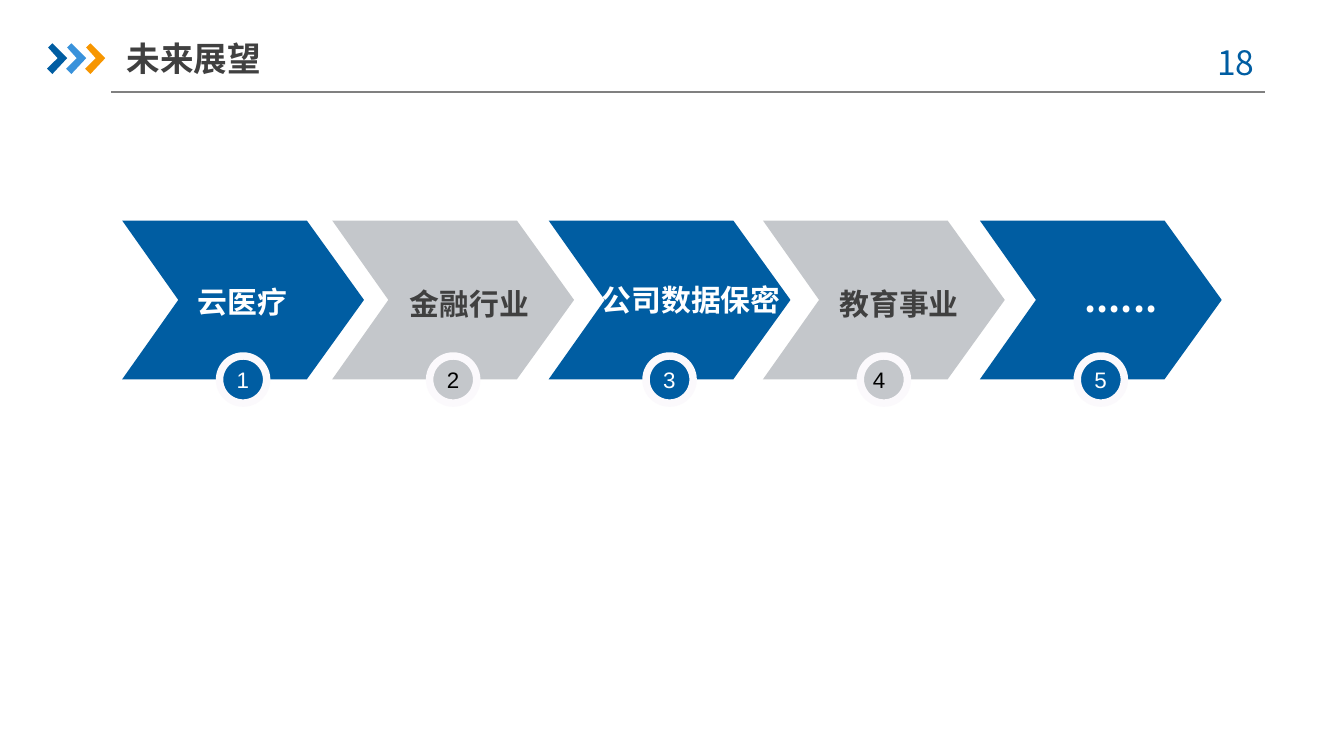
from pptx import Presentation
from pptx.dml.color import RGBColor
from pptx.enum.shapes import MSO_CONNECTOR as Connector, MSO_SHAPE as Shape
from pptx.enum.text import MSO_ANCHOR as Anchor, PP_ALIGN as Align
from pptx.oxml.ns import qn
from pptx.util import Cm, Pt
from lxml import etree

# Content
TITLE = "未来展望"
PAGE_NUMBER = "18 "
# label, size, arrow left, label left, label width, label middle, number nudge
STEPS = [
    ("云医疗", 16, 2.31, 3.73, 1.70, 5.70, 0),
    ("金融行业", 16, 6.28, 7.39, 2.97, 5.74, 0),
    ("公司数据保密", 16, 10.37, 11.20, 3.73, 5.66, 0),
    ("教育事业", 16, 14.42, 15.47, 3.05, 5.74, -0.09),
    ("......", 20, 18.52, 19.61, 3.15, 5.63, 0),
]

COLORS = {
    "blue": "005DA2", "sky": "3992DB", "orange": "F79600", "silver": "C4C7CB",
    "rule": "808080", "dark": "404040", "white": "FFFFFF", "black": "000000",
    "ring": "FBF9FC",
}
CJK, LATIN = "Noto Sans CJK SC", "Arial"

# Measures in centimetres
ARROW_TOP, ARROW_WIDTH = 4.17, 4.57
ARROW = [(0, 0), (1.06, 1.5), (0, 3), (3.49, 3), (4.57, 1.5), (3.49, 0)]
BADGE_TOP, BADGE_SIZE = 6.73, 0.89
MARK_LEFT, MARK_TOP, MARK_PITCH = 0.89, 0.82, 0.36
MARK = [(0.02, 0.08), (0.1, 0), (0.38, 0.28), (0.1, 0.58), (0, 0.48), (0.2, 0.28)]

deck = Presentation()
deck.slide_width, deck.slide_height = Cm(25.4), Cm(14.29)
page = deck.slides.add_slide(deck.slide_layouts[6])


def rgb(name):
    return RGBColor.from_string(COLORS[name])


def add_outline(points, left, top, color):
    corners = [(Cm(left + x), Cm(top + y)) for x, y in points]
    builder = page.shapes.build_freeform(*corners[0])
    builder.add_line_segments(corners[1:], close=True)
    outline = builder.convert_to_shape()
    outline.shadow.inherit = False
    outline.fill.solid()
    outline.fill.fore_color.rgb = rgb(color)
    outline.line.fill.background()


def add_text(text, left, top, width, height, size, color, font=CJK,
             bold=False, align=Align.LEFT):
    box = page.shapes.add_textbox(Cm(left), Cm(top), Cm(width), Cm(height))
    frame = box.text_frame
    frame.margin_left = frame.margin_right = 0
    frame.margin_top = frame.margin_bottom = 0
    frame.vertical_anchor = Anchor.MIDDLE
    frame.word_wrap = True
    frame.text = text
    para = frame.paragraphs[0]
    para.alignment = align
    span = para.runs[0]
    span.font.size, span.font.bold, span.font.name = Pt(size), bold, font
    span.font.color.rgb = rgb(color)
    east_asian = etree.SubElement(span.font._element, qn("a:ea"))
    east_asian.set("typeface", font)


# Header: rule, three marks, page number, title
rule = page.shapes.add_connector(Connector.STRAIGHT, Cm(2.1), Cm(1.74), Cm(23.9), Cm(1.74))
rule.line.color.rgb = rgb("rule")
rule.line.width = Pt(0.75)
etree.SubElement(rule._element.spPr, qn("a:effectLst"))
for index, color in enumerate(("blue", "sky", "orange")):
    add_outline(MARK, MARK_LEFT + index * MARK_PITCH, MARK_TOP, color)
add_text(PAGE_NUMBER, 22.5, 0.66, 1.85, 1.02, 18, "blue", align=Align.CENTER)
add_text(TITLE, 2.39, 0.56, 5.92, 1.07, 18, "dark", bold=True)

# Arrows with their labels
for index, (label, size, left, label_left, width, middle, _) in enumerate(STEPS):
    fill, ink = (("blue", "white"), ("silver", "dark"))[index % 2]
    add_outline(ARROW, left, ARROW_TOP, fill)
    add_text(label, label_left, middle - 0.23, width, 0.46, size, ink,
             bold=True, align=Align.CENTER)

# Numbered badges centred under the arrows
for index, (_, _, left, _, _, _, nudge) in enumerate(STEPS):
    fill, ink = (("blue", "white"), ("silver", "black"))[index % 2]
    center = left + ARROW_WIDTH / 2
    badge = page.shapes.add_shape(Shape.OVAL, Cm(center - BADGE_SIZE / 2), Cm(BADGE_TOP),
                                  Cm(BADGE_SIZE), Cm(BADGE_SIZE))
    badge.shadow.inherit = False
    badge.fill.solid()
    badge.fill.fore_color.rgb = rgb(fill)
    badge.line.color.rgb = rgb("ring")
    badge.line.width = Pt(4)
    add_text(str(index + 1), center - 0.12 + nudge, BADGE_TOP + 0.19, 0.25, 0.51,
             12, ink, font=LATIN)

deck.save("out.pptx")
